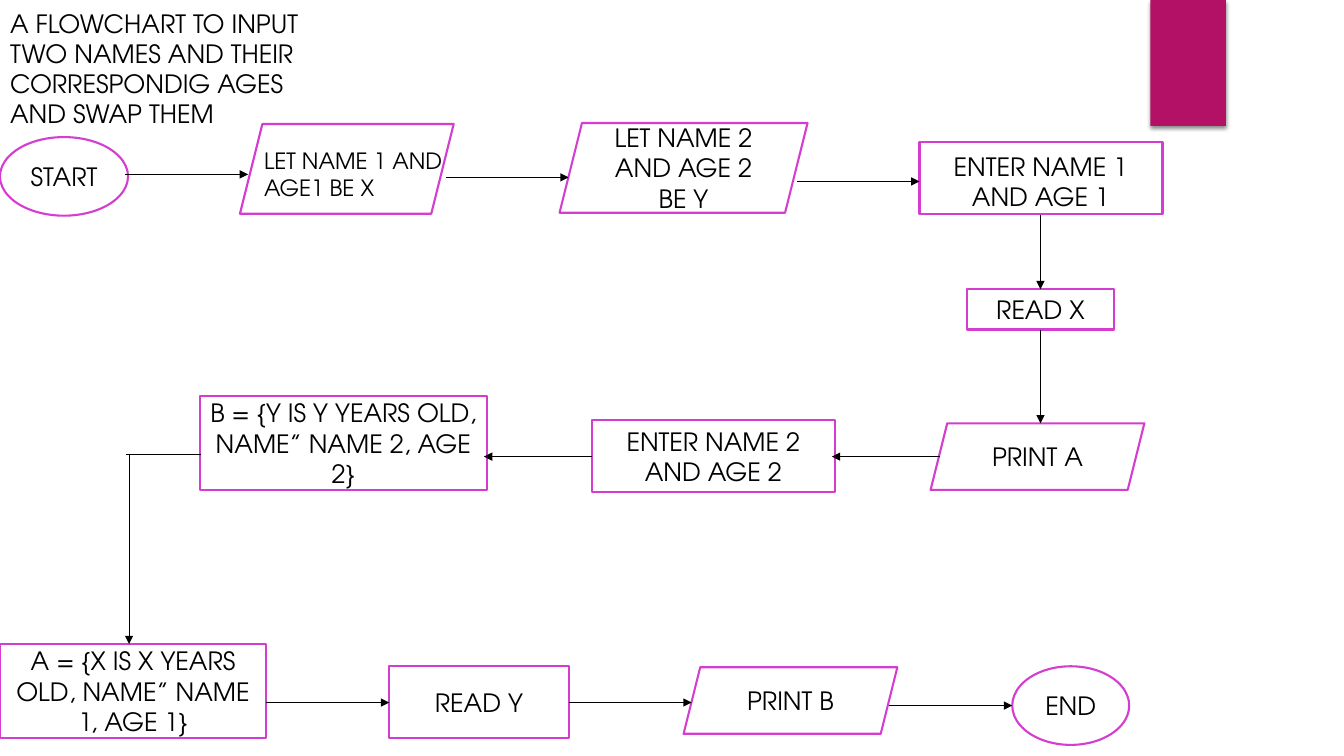
"""Builds a flowchart slide about swapping two names and ages."""
from lxml import etree
from pptx import Presentation
from pptx.dml.color import RGBColor
from pptx.enum.shapes import MSO_CONNECTOR, MSO_SHAPE as SHAPE
from pptx.enum.text import MSO_ANCHOR as ANCHOR, MSO_AUTO_SIZE, PP_ALIGN as ALIGN
from pptx.oxml import parse_xml
from pptx.oxml.ns import nsdecls, qn
from pptx.util import Inches, Pt

FONT = "TeX Gyre Adventor"
BLACK, WHITE, PINK, MAGENTA = "000000", "FFFFFF", "D53DD0", "B31166"

HEADING = "A FLOWCHART TO INPUT TWO NAMES AND THEIR CORRESPONDIG AGES AND SWAP THEM"
HEADING_BOX = (0, 0.03, 3.25, 1.31)
ACCENT_BOX = (11.41, 0, 0.75, 1.25)

TERMINAL, DATA, PROCESS = SHAPE.OVAL, SHAPE.PARALLELOGRAM, SHAPE.RECTANGLE
STEPS = [
    (TERMINAL, "START", (0, 1.36, 1.27, 0.78)),
    (DATA, "", (2.38, 1.23, 2.12, 0.89)),
    (DATA, "LET NAME 2 AND AGE 2 BE Y", (5.55, 1.22, 2.46, 0.89)),
    (PROCESS, "", (9.12, 1.41, 2.41, 0.71)),
    (PROCESS, "READ X", (9.59, 2.87, 1.46, 0.4)),
    (DATA, "PRINT A", (9.23, 4.2, 2.12, 0.66)),
    (PROCESS, "ENTER NAME 2 AND AGE 2", (5.87, 4.17, 2.41, 0.71)),
    (PROCESS, "B = {Y IS Y YEARS OLD, NAME” NAME 2, AGE 2}", (1.98, 3.93, 2.85, 0.93)),
    (PROCESS, "A = {X IS X YEARS OLD, NAME” NAME 1, AGE 1}", (0, 6.39, 2.64, 0.93)),
    (PROCESS, "READ Y", (3.86, 6.61, 1.78, 0.71)),
    (DATA, "PRINT B", (6.78, 6.62, 2.12, 0.66)),
    (TERMINAL, "END", (10.04, 6.61, 1.16, 0.78)),
]
CAPTIONS = [
    ("LET NAME 1 AND AGE1 BE X", (2.52, 1.41, 2.09, 0.64), 16, ALIGN.LEFT),
    ("ENTER NAME 1 AND AGE 1", (9.19, 1.45, 2.26, 0.71), 18, ALIGN.CENTER),
]
ARROWS = [
    (1.24, 1.73, 2.46, 1.73),
    (4.42, 1.76, 5.64, 1.76),
    (7.9, 1.8, 9.12, 1.8),
    (10.32, 2.13, 10.32, 2.87),
    (10.32, 3.27, 10.32, 4.2),
    (9.32, 4.53, 8.25, 4.53),
    (5.87, 4.53, 4.8, 4.53),
    (1.28, 4.51, 1.28, 6.39),
    (2.64, 6.97, 3.86, 6.97),
    (5.64, 6.97, 6.86, 6.97),
    (8.82, 7, 10.04, 7),
]
ELBOW = (1.99, 4.51, 1.25, 4.51)


def color(code):
    return RGBColor.from_string(code)


def inches(lengths):
    return [Inches(length) for length in lengths]


def write(owner, text, size=18, align=ALIGN.CENTER, anchor=ANCHOR.MIDDLE):
    frame = owner.text_frame
    frame.word_wrap = True
    frame.auto_size = MSO_AUTO_SIZE.NONE
    frame.vertical_anchor = anchor
    line = frame.paragraphs[0]
    line.alignment = align
    run = line.add_run()
    run.text = text
    run.font.name = FONT
    run.font.size = Pt(size)
    run.font.color.rgb = color(BLACK)


def add_heading(slide):
    heading = slide.shapes.title
    heading.left, heading.top, heading.width, heading.height = inches(HEADING_BOX)
    write(heading, HEADING, align=ALIGN.LEFT, anchor=ANCHOR.TOP)


def add_accent(slide):
    accent = slide.shapes.add_shape(PROCESS, *inches(ACCENT_BOX))
    accent.fill.solid()
    accent.fill.fore_color.rgb = color(MAGENTA)
    accent.line.fill.background()
    accent._element.spPr.append(parse_xml(
        f'<a:effectLst {nsdecls("a")}>'
        f'<a:outerShdw blurRad="{Pt(3)}" dist="{Pt(2)}" dir="5400000" rotWithShape="0">'
        f'<a:srgbClr val="{BLACK}"><a:alpha val="45000"/></a:srgbClr>'
        '</a:outerShdw></a:effectLst>'))


def add_step(slide, kind, text, box):
    step = slide.shapes.add_shape(kind, *inches(box))
    step.shadow.inherit = False
    step.fill.solid()
    step.fill.fore_color.rgb = color(WHITE)
    step.line.color.rgb = color(PINK)
    step.line.width = Pt(1.5)
    if text:
        write(step, text)


def add_link(slide, ends, arrow=True):
    link = slide.shapes.add_connector(MSO_CONNECTOR.STRAIGHT, *inches(ends))
    link.line.color.rgb = color(BLACK)
    link.line.width = Pt(0.75)
    if arrow:
        etree.SubElement(link.line._get_or_add_ln(), qn("a:tailEnd"), type="triangle")
    etree.SubElement(link._element.spPr, qn("a:effectLst"))


def main():
    deck = Presentation()
    deck.slide_width, deck.slide_height = Inches(13.33), Inches(7.5)
    slide = deck.slides.add_slide(deck.slide_layouts[5])
    add_accent(slide)
    add_heading(slide)
    for kind, text, box in STEPS:
        add_step(slide, kind, text, box)
    for text, box, size, align in CAPTIONS:
        write(slide.shapes.add_textbox(*inches(box)), text, size, align, ANCHOR.TOP)
    for ends in ARROWS:
        add_link(slide, ends)
    add_link(slide, ELBOW, arrow=False)
    deck.save("out.pptx")


if __name__ == "__main__":
    main()
